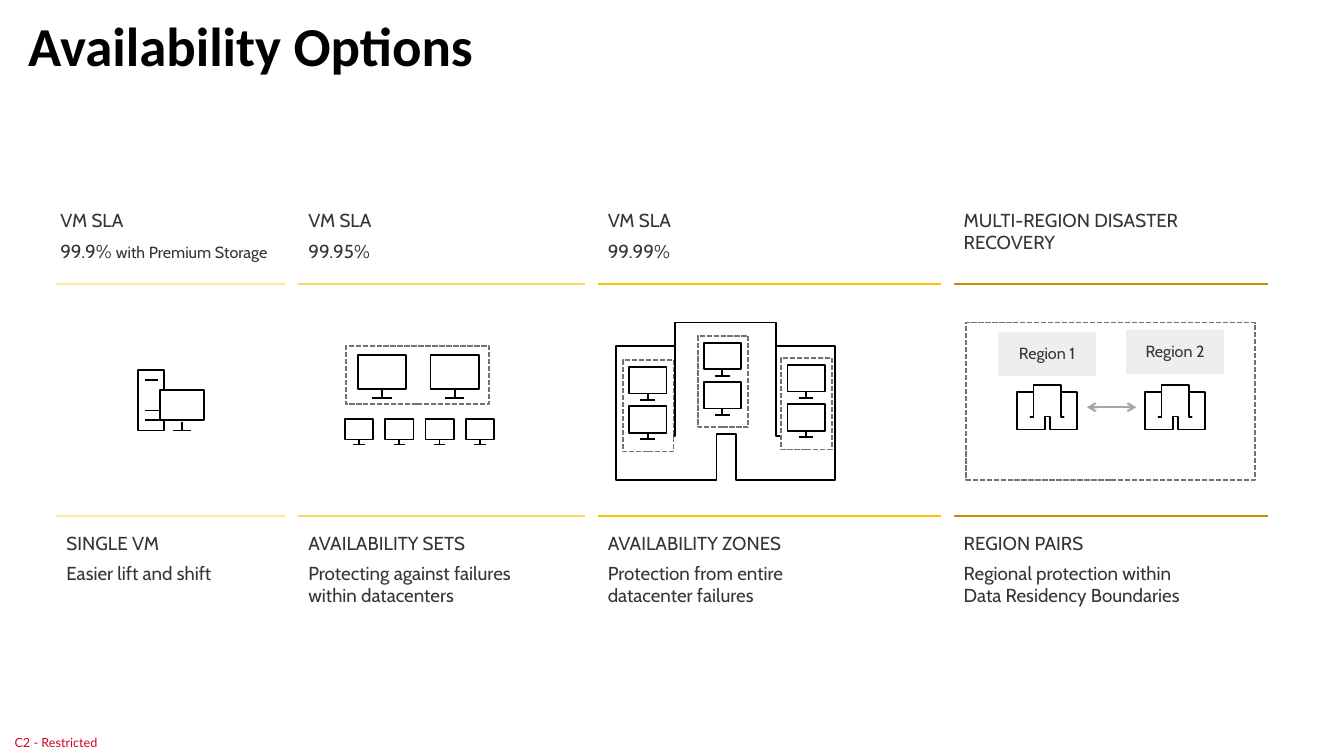
from lxml import etree
from pptx import Presentation
from pptx.dml.color import RGBColor
from pptx.enum.dml import MSO_LINE
from pptx.enum.shapes import MSO_CONNECTOR, MSO_SHAPE
from pptx.enum.text import MSO_ANCHOR, MSO_AUTO_SIZE, PP_ALIGN
from pptx.oxml.ns import qn
from pptx.util import Inches, Pt

DASH = MSO_LINE.SQUARE_DOT
STRAIGHT = MSO_CONNECTOR.STRAIGHT
RECTANGLE = MSO_SHAPE.RECTANGLE
TOP, MIDDLE = MSO_ANCHOR.TOP, MSO_ANCHOR.MIDDLE
NO_FIT = MSO_AUTO_SIZE.NONE
LEFT, CENTER = PP_ALIGN.LEFT, PP_ALIGN.CENTER

COLORS = {
    "ink": "000000", "text": "353535", "dash": "767171", "arrow": "A6A6A6",
    "label": "EEEEEE", "white": "FFFFFF", "mark": "CF022B",
}
BODY = {"name": "Cabin", "size": Pt(13.4)}
SMALL = {"name": "Cabin", "size": Pt(11.5)}
HEADING = {"name": "Calibri", "size": Pt(39.2), "bold": True}
MARKING = {"name": "Lato", "size": Pt(9)}

# Grid in inches: four columns with one gap, and named rows
MARGIN, GAP = 0.56, 0.13
ROWS = {"sla": 2.02, "figure": 2.33, "top rule": 2.82, "art": 3.2,
        "bottom rule": 5.12, "name": 5.23, "detail": 5.52}
# width, rule colour, SLA title, SLA figure, name, detail
OPTIONS = [
    (2.27, "FFE699", "VM SLA", [("99.9% ", BODY), ("with Premium Storage", SMALL)],
     "SINGLE VM", "Easier lift and shift"),
    (2.84, "FFD966", "VM SLA", [("99.95%", BODY)],
     "AVAILABILITY SETS", "Protecting against failures within datacenters"),
    (3.4, "FFC000", "VM SLA", [("99.99%", BODY)],
     "AVAILABILITY ZONES", "Protection from entire datacenter failures"),
    (3.12, "BF9000", "MULTI-REGION DISASTER RECOVERY", [],
     "REGION PAIRS", "Regional protection within Data Residency Boundaries"),
]

# Outlines as shares of their width and height
MONITOR = [
    [(1, 0.4), (1, 0.8), (0, 0.8), (0, 0), (1, 0), (1, 0.4)],
    [(0.5, 0.8), (0.5, 1)],
    [(0.3, 1), (0.7, 1)],
]
BUILDING = [[
    (0.46, 1), (0, 1), (0, 0.15), (0.27, 0.15), (0.27, 0.72), (0.22, 0.72),
    (0.27, 0.72), (0.27, 0), (0.73, 0), (0.73, 0.72), (0.78, 0.72), (0.73, 0.72),
    (0.73, 0.15), (1, 0.15), (1, 1), (0.55, 1), (0.55, 0.71), (0.46, 0.71), (0.46, 1),
]]
TOWER = [
    [(1, 0.33), (1, 0), (0, 0), (0, 1), (1, 1), (1, 0.83)],
    [(0.27, 0.17), (0.77, 0.17)],
    [(0.27, 0.67), (0.83, 0.67)],
    [(0.27, 0.83), (0.83, 0.83)],
]


def rgb(color):
    return RGBColor.from_string(COLORS.get(color, color))


def style_line(line, color, width=1.25, dash=None):
    line.color.rgb = rgb(color)
    line.width = Pt(width)
    if dash:
        line.dash_style = dash


def write(shape, spans, color="text", align=LEFT, anchor=TOP, spacing=None, inset=True):
    frame = shape.text_frame
    frame.word_wrap, frame.auto_size, frame.vertical_anchor = True, NO_FIT, anchor
    if not inset:
        for side in ("left", "right", "top", "bottom"):
            setattr(frame, "margin_" + side, 0)
    para = frame.paragraphs[0]
    para.alignment, para.line_spacing = align, spacing
    for words, look in spans:
        span = para.add_run()
        span.text = words
        span.font.color.rgb = rgb(color)
        for key, value in look.items():
            setattr(span.font, key, value)


def add_text(page, x, y, width, height, spans, **layout):
    box = page.shapes.add_textbox(*map(Inches, (x, y, width, height)))
    write(box, spans, **layout)


def add_box(page, x, y, width, height, fill=None, dashed=True):
    box = page.shapes.add_shape(RECTANGLE, *map(Inches, (x, y, width, height)))
    box.shadow.inherit = False
    if fill:
        box.fill.solid()
        box.fill.fore_color.rgb = rgb(fill)
    else:
        box.fill.background()
    if dashed:
        style_line(box.line, "dash", dash=DASH)
    else:
        box.line.fill.background()
    return box


def add_rule(page, x, y, width, color, weight=1.25, arrows=False):
    rule = page.shapes.add_connector(STRAIGHT, *map(Inches, (x, y, x + width, y)))
    style_line(rule.line, color, weight)
    if arrows:
        for end in ("a:headEnd", "a:tailEnd"):
            etree.SubElement(rule.line._get_or_add_ln(), qn(end), type="arrow")
    etree.SubElement(rule._element.spPr, qn("a:effectLst"))


def add_outline(page, strokes, x, y, width, height):
    placed = [[(Inches(x + across * width), Inches(y + down * height))
               for across, down in stroke] for stroke in strokes]
    builder = page.shapes.build_freeform(*placed[0][0])
    for number, stroke in enumerate(placed):
        if number:
            builder.move_to(*stroke[0])
        builder.add_line_segments(stroke[1:], close=False)
    outline = builder.convert_to_shape()
    outline.shadow.inherit = False
    outline.fill.background()
    style_line(outline.line, "ink")


def add_monitor(page, x, y, width):
    add_outline(page, MONITOR, x, y, width, 0.89 * width)


def add_option(page, x, width, color, sla, figure, name, detail):
    for rule in ("top rule", "bottom rule"):
        add_rule(page, x, ROWS[rule], width, color)
    left = x - 0.06 if x == MARGIN else x
    add_text(page, left, ROWS["sla"], min(width, 3), 0.37, [(sla, BODY)])
    if figure:
        add_text(page, left, ROWS["figure"], 2.4, 0.37, figure)
    add_text(page, x, ROWS["name"], width, 0.38, [(name, BODY)])
    add_text(page, x, ROWS["detail"], 2.4, 0.64, [(detail, BODY)])


def draw_single(page, x, y):
    add_outline(page, TOWER, x + 0.81, y + 0.47, 0.26, 0.6)
    add_outline(page, [[(0, 0), (1, 0), (1, 0.75), (0, 0.75), (0, 0)]] + MONITOR[1:],
                x + 1.03, y + 0.67, 0.43, 0.4)


def draw_sets(page, x, y):
    add_box(page, x + 0.47, y + 0.23, 1.42, 0.58)
    for number in range(2):
        add_monitor(page, x + 0.59 + 0.72 * number, y + 0.32, 0.48)
    for number in range(4):
        add_monitor(page, x + 0.46 + 0.4 * number, y + 0.96, 0.28)


def draw_zones(page, x, y):
    add_outline(page, BUILDING, x + 0.18, y, 2.17, 1.56)
    for across, down in ((0.25, 0.37), (0.99, 0.13), (1.82, 0.35)):
        add_box(page, x + across, y + down, 0.5, 0.91, fill="white")
        for number in range(2):
            add_monitor(page, x + across + 0.06, y + down + 0.07 + 0.39 * number, 0.37)


def draw_regions(page, x, y):
    add_box(page, x + 0.12, y, 2.87, 1.56)
    for number, down in enumerate((0.09, 0.07)):
        left = x + 0.44 + 1.27 * number
        label = add_box(page, left, y + down, 0.97, 0.44, fill="label", dashed=False)
        write(label, [(f"Region {number + 1}", SMALL)], align=CENTER, anchor=MIDDLE,
              spacing=0.9, inset=False)
        add_outline(page, BUILDING, left + 0.19, y + 0.62, 0.59, 0.44)
    add_rule(page, x + 1.32, y + 0.84, 0.49, "arrow", 1.5, arrows=True)


def main():
    deck = Presentation()
    deck.slide_width, deck.slide_height = Inches(13.33), Inches(7.5)
    page = deck.slides.add_slide(deck.slide_layouts[5])

    # Title and classification mark
    title = page.shapes.title
    title.left, title.top, title.width, title.height = map(Inches, (0.18, 0.05, 4.89, 0.86))
    write(title, [("Availability Options", HEADING)], color="ink", anchor=MIDDLE, spacing=0.9)
    add_text(page, 0, 7.23, 1.11, 0.27, [("C2 - Restricted", MARKING)], color="mark",
             align=CENTER, anchor=MIDDLE, inset=False)

    # One column per option, each with its drawing
    x = MARGIN
    drawings = (draw_single, draw_sets, draw_zones, draw_regions)
    for (width, *content), draw in zip(OPTIONS, drawings):
        add_option(page, x, width, *content)
        draw(page, x, ROWS["art"])
        x += width + GAP

    deck.save("out.pptx")


if __name__ == "__main__":
    main()
